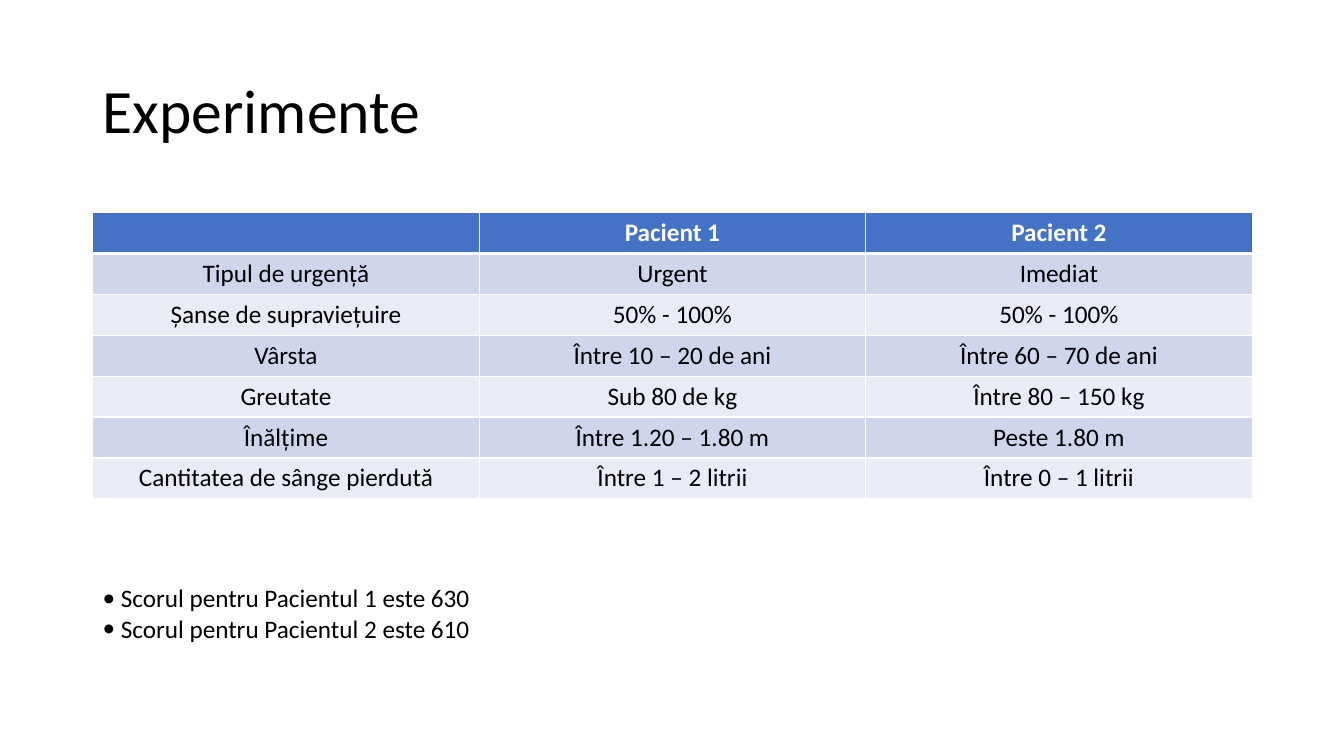
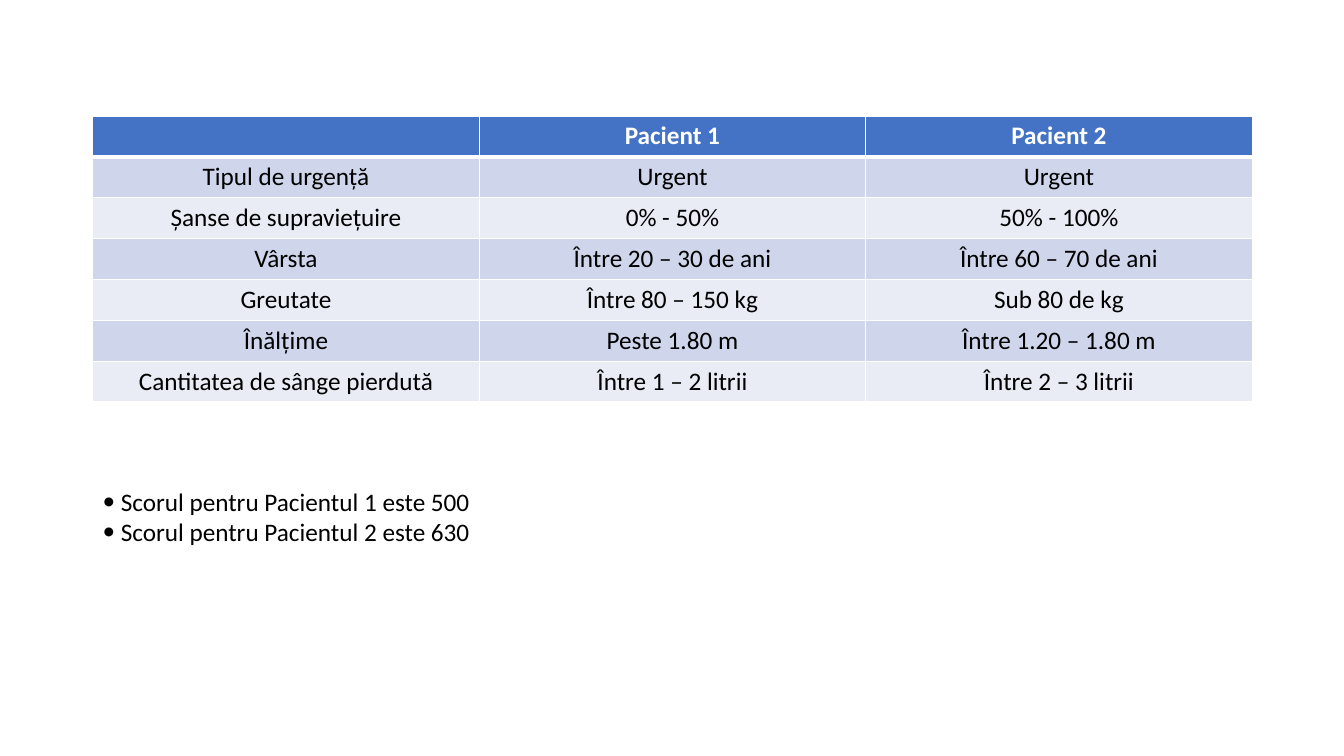
from pptx import Presentation
from pptx.dml.color import RGBColor
from pptx.enum.text import MSO_ANCHOR as Anchor, PP_ALIGN as Align
from pptx.oxml import parse_xml
from pptx.oxml.ns import nsdecls
from pptx.util import Inches, Pt

BLACK = RGBColor(0x00, 0x00, 0x00)
WHITE = RGBColor(0xFF, 0xFF, 0xFF)
BLUE = RGBColor(0x44, 0x72, 0xC4)
BANDS = RGBColor(0xCF, 0xD5, 0xEA), RGBColor(0xE9, 0xEB, 0xF5)

LABELS = ["", "Tipul de urgență", "Șanse de supraviețuire", "Vârsta",
          "Greutate", "Înălțime", "Cantitatea de sânge pierdută"]


class Deck:
    font = "Calibri"
    left = Inches(0.92)
    width = Inches(11.5)
    size = 18

    def __init__(self):
        self.prs = Presentation()
        self.prs.slide_width = Inches(13.33)
        self.prs.slide_height = Inches(7.5)

    def page(self):
        self.slide = self.prs.slides.add_slide(self.prs.slide_layouts[6])

    def run(self, para, text, size=size, color=BLACK, bold=False):
        run = para.add_run()
        run.text = text
        run.font.name = self.font
        run.font.size = Pt(size)
        run.font.bold = bold
        run.font.color.rgb = color

    def box(self, top, width, height, anchor):
        frame = self.slide.shapes.add_textbox(
            self.left, top, width, height).text_frame
        frame.word_wrap = True
        frame.vertical_anchor = anchor
        return frame

    def title(self, text):
        frame = self.box(Inches(0.4), self.width, Inches(1.45), Anchor.MIDDLE)
        para = frame.paragraphs[0]
        para.line_spacing = 0.9
        self.run(para, text, 44)

    def edge(self, cell, side, points):
        cell._tc.get_or_add_tcPr().append(parse_xml(
            f'<a:ln{side} {nsdecls("a")} w="{Pt(points)}"><a:solidFill>'
            f'<a:srgbClr val="{WHITE}"/></a:solidFill></a:ln{side}>'))

    def cell(self, cell, row, text):
        head = row == 0
        thick = {"T": row == 1, "B": head}
        for side in "LRTB":
            self.edge(cell, side, 3 if thick.get(side) else 1)
        cell.fill.solid()
        cell.fill.fore_color.rgb = BLUE if head else BANDS[(row - 1) % 2]
        para = cell.text_frame.paragraphs[0]
        para.alignment = Align.CENTER
        if text:
            self.run(para, text, color=WHITE if head else BLACK, bold=head)

    def table(self, top, cols):
        table = self.slide.shapes.add_table(
            len(cols[0]), len(cols), self.left, top,
            self.width, Inches(2.84)).table
        for c, col in enumerate(cols):
            for r, text in enumerate(col):
                self.cell(table.cell(r, c), r, text)

    def bullet(self, para, text):
        props = para._p.get_or_add_pPr()
        indent = Inches(0.18)
        props.set("marL", str(indent))
        props.set("indent", str(-indent))
        props.append(parse_xml(
            f'<a:buFont {nsdecls("a")} typeface="{self.font}"/>'))
        props.append(parse_xml(f'<a:buChar {nsdecls("a")} char="•"/>'))
        self.run(para, text)

    def scores(self, top, values):
        frame = self.box(top, Inches(4.13), Inches(1.01), Anchor.BOTTOM)
        for n, value in enumerate(values, 1):
            para = frame.paragraphs[0] if n == 1 else frame.add_paragraph()
            self.bullet(para, f"Scorul pentru Pacientul {n} este {value}")

    def trial(self, top, cases, values):
        heads = [[f"Pacient {n}", *case] for n, case in enumerate(cases, 1)]
        self.table(top, [LABELS, *heads])
        self.scores(top + Inches(3.31), values)


deck = Deck()

deck.page()
deck.title("Experimente")
deck.trial(Inches(2.11), [
    ["Urgent", "50% - 100%", "Între 10 – 20 de ani", "Sub 80 de kg",
     "Între 1.20 – 1.80 m", "Între 1 – 2 litrii"],
    ["Imediat", "50% - 100%", "Între 60 – 70 de ani", "Între 80 – 150 kg",
     "Peste 1.80 m", "Între 0 – 1 litrii"],
], [630, 610])

deck.page()
deck.trial(Inches(1.15), [
    ["Urgent", "0% - 50%", "Între 20 – 30 de ani", "Între 80 – 150 kg",
     "Peste 1.80 m", "Între 1 – 2 litrii"],
    ["Urgent", "50% - 100%", "Între 60 – 70 de ani", "Sub 80 de kg",
     "Între 1.20 – 1.80 m", "Între 2 – 3 litrii"],
], [500, 630])

deck.prs.save("out.pptx")
